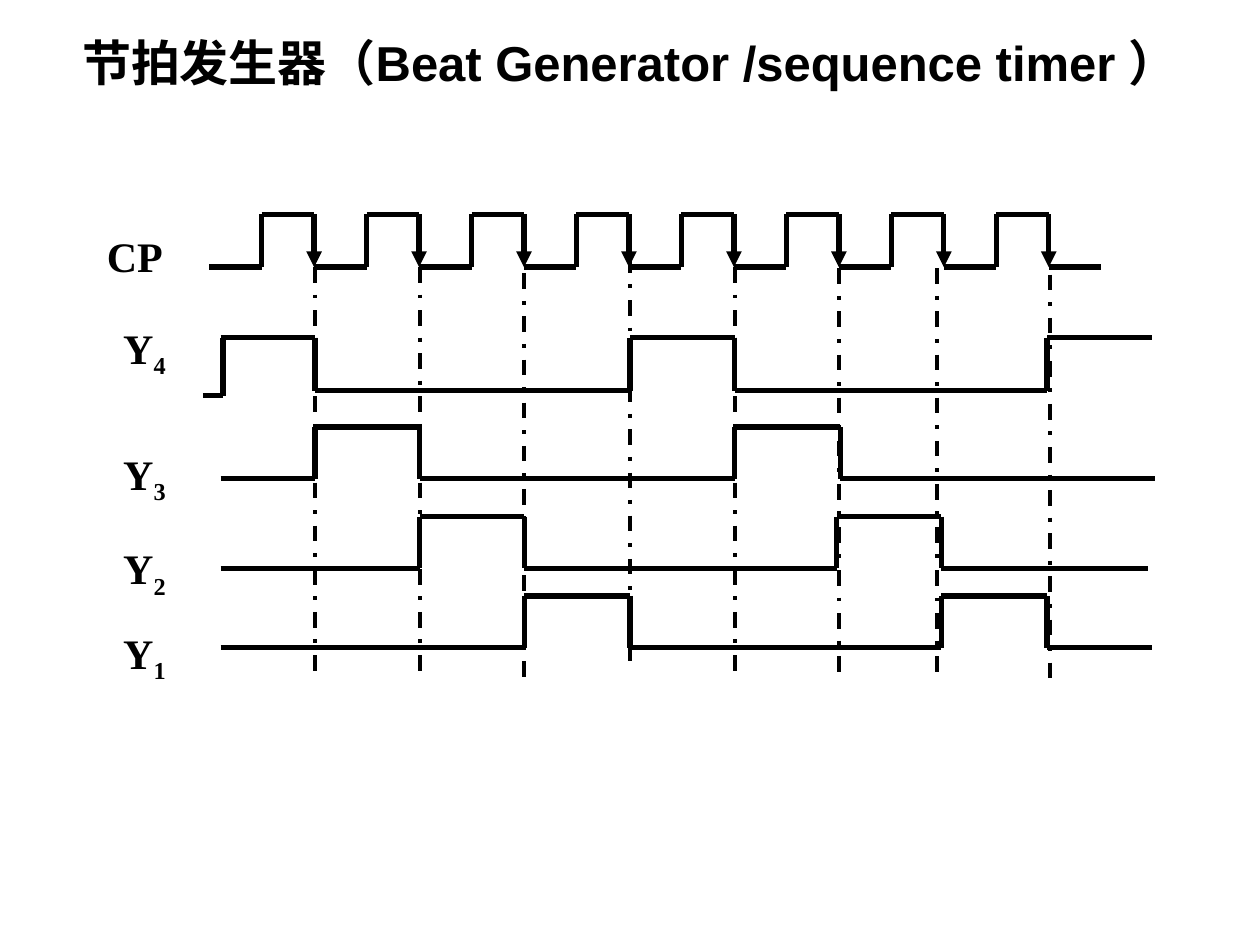
import pptx
import pptx.util
import pptx.dml.color
import pptx.enum.dml
import pptx.enum.shapes
import pptx.enum.text
import pptx.oxml.ns
import lxml.etree

Inches, Pt = pptx.util.Inches, pptx.util.Pt
qn = pptx.oxml.ns.qn
BLACK = "000000"


def color(fmt, value):
    fmt.rgb = pptx.dml.color.RGBColor.from_string(value)


def line(x1, y1, x2, y2, width=3, dashed=False, arrow=False):
    c = s.shapes.add_connector(pptx.enum.shapes.MSO_CONNECTOR.STRAIGHT,
                               Inches(x1), Inches(y1), Inches(x2), Inches(y2))
    color(c.line.color, BLACK)
    c.line.width = Pt(width)
    if dashed:
        c.line.dash_style = pptx.enum.dml.MSO_LINE.DASH_DOT
    if arrow:
        lxml.etree.SubElement(c.line._get_or_add_ln(), qn("a:tailEnd"), type="triangle")
    lxml.etree.SubElement(c._element.spPr, qn("a:effectLst"))


prs = pptx.Presentation()
prs.slide_width, prs.slide_height = Inches(10), Inches(7.5)
s = prs.slides.add_slide(prs.slide_layouts[5])

title = s.shapes.title
title.left, title.top, title.width, title.height = Inches(0), Inches(0.21), Inches(10), Inches(0.57)
tf = title.text_frame
tf.text = "节拍发生器（Beat Generator /sequence timer ）"
tf.auto_size = pptx.enum.text.MSO_AUTO_SIZE.NONE
p = tf.paragraphs[0]
p.alignment = pptx.enum.text.PP_ALIGN.CENTER
r = p.runs[0]
r.font.name, r.font.size, r.font.bold = "Arial", Pt(28), True
color(r.font.color, BLACK)

guides = [(2.5, 2.12, 5.41), (3.33, 2.12, 5.4), (4.16, 2.17, 5.41), (5, 2.04, 5.28),
          (5.83, 2.12, 5.36), (6.66, 2.13, 5.41), (7.44, 2.13, 5.41), (8.33, 2.18, 5.42)]
for x, top, bottom in guides:
    line(x, top, x, bottom, width=2.25, dashed=True)

high, low = 1.7, 2.12
period = 0.833
half = period / 2
line(1.66, low, 1.66 + half, low)
for i in range(8):
    rise = 1.66 + half + i * period
    fall = rise + half
    line(rise, low, rise, high)
    line(rise, high, fall, high)
    line(fall, high, fall, low, arrow=True)
    line(fall, low, fall + half, low)

line(1.61, 3.14, 1.77, 3.14)
line(1.77, 3.14, 1.77, 2.68)

# Each wave: high level, low level, starts high, start, edges..., end
waves = [
    (2.68, 3.1, True, [1.75, 2.5, 5, 5.83, 8.31, 9.14]),
    (3.39, 3.8, False, [1.75, 2.5, 3.33, 5.83, 6.67, 9.17]),
    (4.1, 4.51, False, [1.75, 3.33, 4.16, 6.64, 7.47, 9.11]),
    (4.73, 5.14, False, [1.75, 4.16, 5, 7.47, 8.31, 9.14]),
]
for high, low, is_high, xs in waves:
    for i, (x1, x2) in enumerate(zip(xs, xs[1:])):
        y, other = (high, low) if is_high else (low, high)
        line(x1, y, x2, y)
        if i < len(xs) - 2:
            line(x2, y, x2, other)
        is_high = not is_high

labels = [("CP", "", 0.75, 1.78), ("Y", "4", 0.88, 2.51), ("Y", "3", 0.88, 3.51),
          ("Y", "2", 0.88, 4.26), ("Y", "1", 0.88, 4.93)]
for name, index, x, y in labels:
    tf = s.shapes.add_textbox(Inches(x), Inches(y), Inches(1), Inches(0.5)).text_frame
    tf.word_wrap = True
    p = tf.paragraphs[0]
    p.text = name
    if index:
        r = p.add_run()
        r.text = index
        r.font._element.set("baseline", "-25000")
    for r in p.runs:
        r.font.name, r.font.size, r.font.bold = "Times New Roman", Pt(24), True
        color(r.font.color, BLACK)

prs.save("out.pptx")
